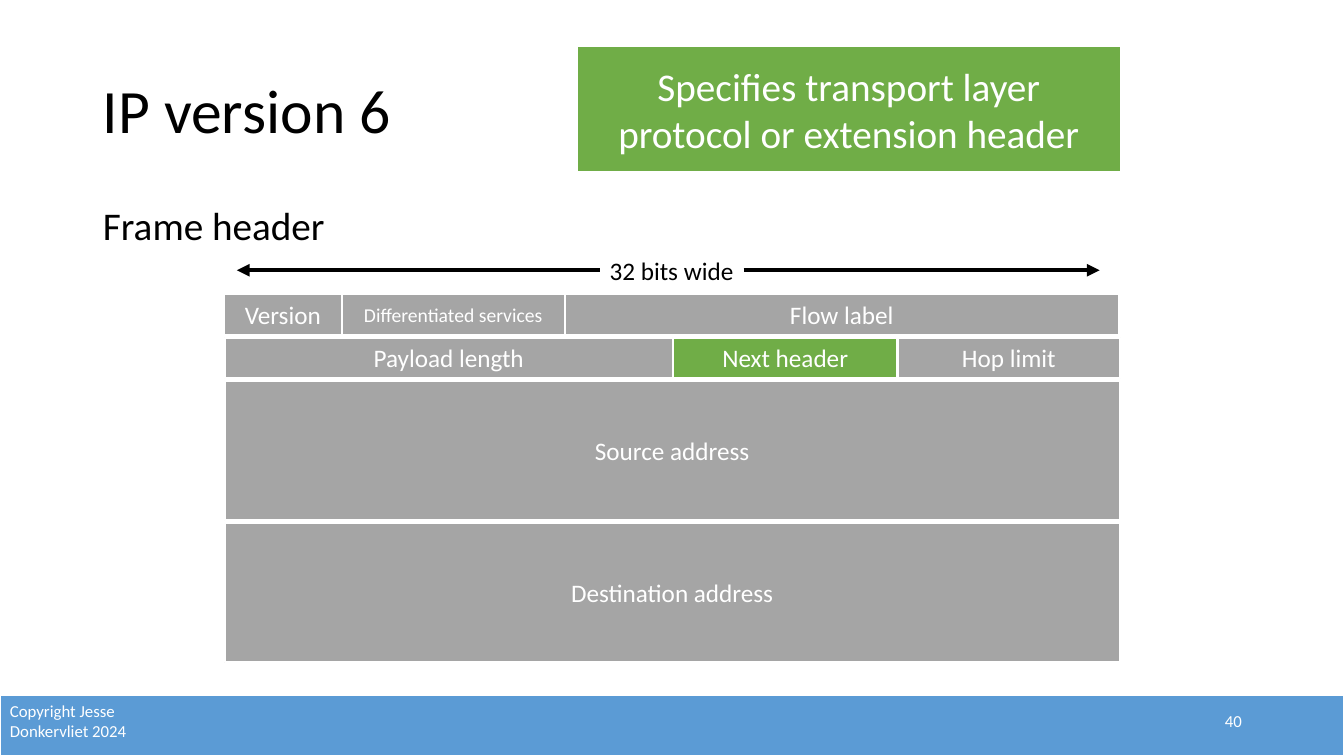
"""Build the slide on the IP version 6 frame header."""
from lxml.etree import SubElement
from pptx import Presentation
from pptx.dml.color import RGBColor
from pptx.enum.shapes import MSO_CONNECTOR, MSO_SHAPE
from pptx.enum.text import MSO_ANCHOR, PP_ALIGN
from pptx.oxml.ns import qn
from pptx.util import Cm, Pt

BLACK = RGBColor(0x00, 0x00, 0x00)
WHITE = RGBColor(0xFF, 0xFF, 0xFF)
GRAY = RGBColor(0xA5, 0xA5, 0xA5)
GREEN = RGBColor(0x70, 0xAD, 0x47)
BLUE = RGBColor(0x5B, 0x9B, 0xD5)


def write(shape, text, size, color, align=PP_ALIGN.LEFT, anchor=MSO_ANCHOR.MIDDLE):
    frame = shape.text_frame
    frame.word_wrap = True
    frame.vertical_anchor = anchor
    frame.text = text
    paragraph = frame.paragraphs[0]
    paragraph.alignment = align
    font = paragraph.runs[0].font
    font.name, font.size, font.color.rgb = "Calibri", Pt(size), color
    return paragraph


def add_block(left, top, width, height, fill):
    block = slide.shapes.add_shape(
        MSO_SHAPE.RECTANGLE, Cm(left), Cm(top), Cm(width), Cm(height))
    block.shadow.inherit = False
    block.fill.solid()
    block.fill.fore_color.rgb = fill
    block.line.color.rgb = WHITE
    block.line.width = Pt(1.5)
    return block


deck = Presentation()
deck.slide_width, deck.slide_height = Cm(33.87), Cm(19.05)
slide = deck.slides.add_slide(deck.slide_layouts[1])

title = slide.shapes.title
title.left, title.top, title.width, title.height = Cm(2.34), Cm(1.02), Cm(29.21), Cm(3.68)
write(title, "IP version 6", 44, BLACK).line_spacing = 0.9

body = slide.placeholders[1]
body.left, body.top, body.width, body.height = Cm(2.34), Cm(5.08), Cm(29.21), Cm(12.09)
subtitle = write(body, "Frame header", 28, BLACK, anchor=MSO_ANCHOR.TOP)
subtitle.line_spacing = 0.9
subtitle.space_before = Pt(0)
subtitle_format = subtitle._p.get_or_add_pPr()
subtitle_format.set("marL", "0")
subtitle_format.set("indent", "0")
SubElement(subtitle_format, qn("a:buNone"))

add_block(0, 17.5, 33.87, 1.55, BLUE)
copyright_line = slide.shapes.add_textbox(Cm(0), Cm(17.53), Cm(3.73), Cm(1.27))
write(copyright_line, "Copyright Jesse Donkervliet 2024", 12, WHITE)
page_number = slide.shapes.add_textbox(Cm(23.93), Cm(17.65), Cm(7.62), Cm(1.02))
write(page_number, "40", 12, WHITE, PP_ALIGN.RIGHT)

width_label = slide.shapes.add_textbox(Cm(15.11), Cm(6.38), Cm(3.63), Cm(0.86))
write(width_label, "32 bits wide", 18, BLACK, PP_ALIGN.CENTER)
label_middle = width_label.top + width_label.height // 2
for label_side, tip in ((1, 5.97), (3, 27.71)):
    arrow = slide.shapes.add_connector(
        MSO_CONNECTOR.STRAIGHT, Cm(tip), label_middle, Cm(tip), label_middle)
    arrow.begin_connect(width_label, label_side)
    arrow.line.color.rgb = BLACK
    arrow.line.width = Pt(3)
    SubElement(arrow.line._get_or_add_ln(), qn("a:tailEnd"), type="triangle")
    SubElement(arrow._element.spPr, qn("a:effectLst"))

header_rows = (
    (5.64, 7.42, 1.02, (("Version", 2.98, 18, GRAY),
                        ("Differentiated services", 5.61, 14, GRAY),
                        ("Flow label", 13.97, 18, GRAY))),
    (5.66, 8.51, 1.02, (("Payload length", 11.3, 18, GRAY),
                        ("Next header", 5.66, 18, GREEN),
                        ("Hop limit", 5.61, 18, GRAY))),
    (5.66, 9.6, 3.51, (("Source address", 22.56, 18, GRAY),)),
    (5.66, 13.18, 3.51, (("Destination address", 22.56, 18, GRAY),)),
)
for left, top, height, fields in header_rows:
    for name, width, size, fill in fields:
        field = add_block(left, top, width, height, fill)
        write(field, name, size, WHITE, PP_ALIGN.CENTER)
        left += width

callout = add_block(14.53, 1.17, 13.72, 3.18, GREEN)
write(callout, "Specifies transport layer protocol or extension header",
      28, WHITE, PP_ALIGN.CENTER)

deck.save("out.pptx")
